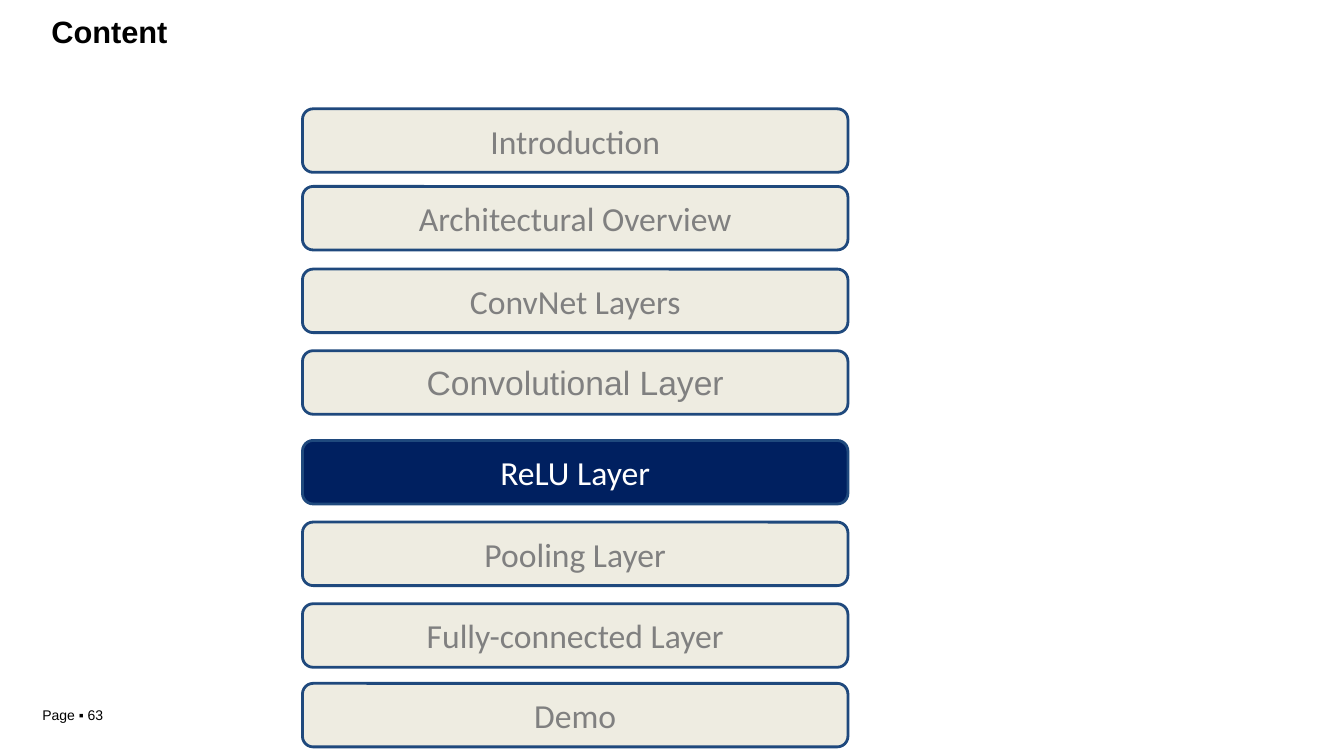
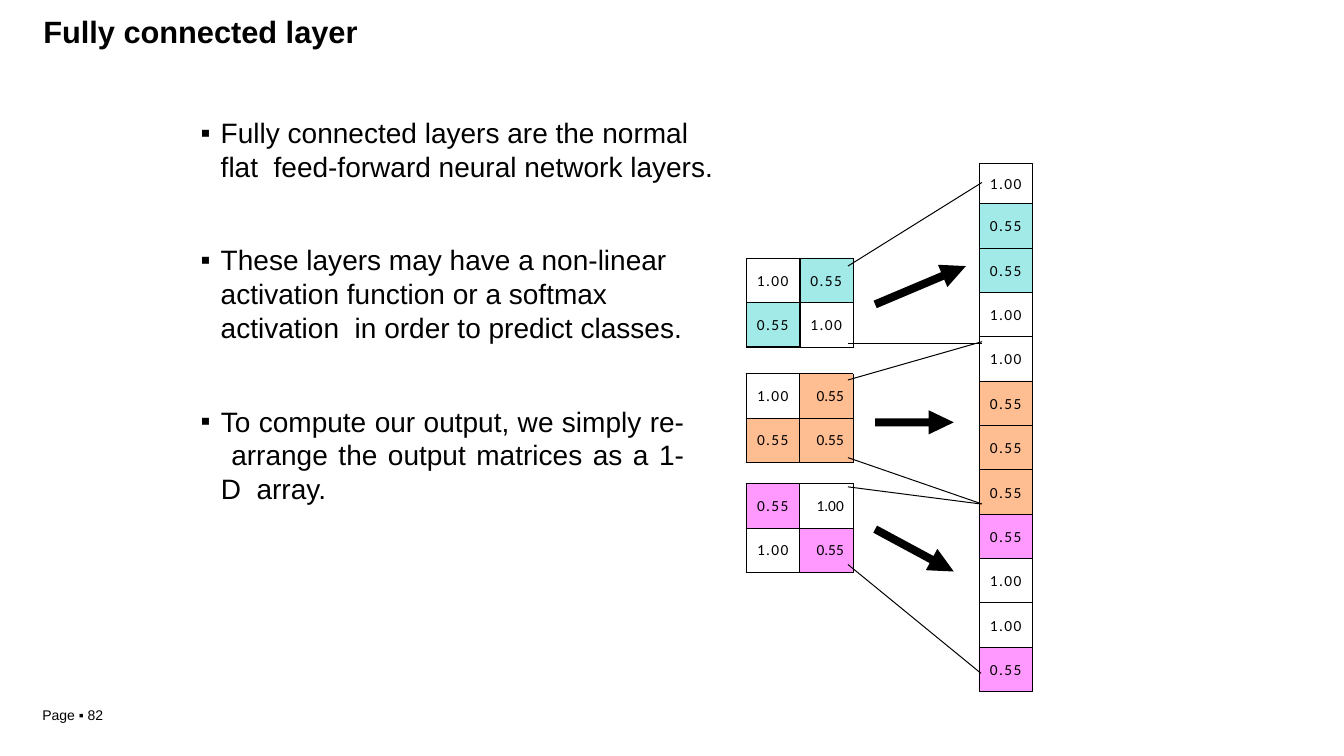
"""Build two lecture slides: the agenda and the fully connected layer."""
from dataclasses import dataclass
from math import hypot

from lxml.etree import SubElement
from pptx import Presentation
from pptx.dml.color import RGBColor
from pptx.enum.shapes import MSO_CONNECTOR as Connector, MSO_SHAPE as Preset
from pptx.enum.text import MSO_ANCHOR as Anchor, PP_ALIGN as Align
from pptx.oxml import parse_xml
from pptx.oxml.ns import nsdecls, qn
from pptx.shapes.base import BaseShape
from pptx.slide import Slide
from pptx.text.text import TextFrame, _Paragraph as Paragraph
from pptx.util import Pt

PX = 9144
SLIDE_WIDTH, SLIDE_HEIGHT = 1333, 750

COLORS = {
    "ink": "000000", "white": "FFFFFF", "muted": "808080",
    "cream": "EEECE1", "navy": "002060", "edge": "1F497D",
    "teal": "A1EAE8", "peach": "FFBE92", "pink": "FF99FF",
}
TITLE = {"name": "Arial", "size": Pt(22), "bold": True}
FOOTER = {"name": "Arial", "size": Pt(10)}
BODY = {"name": "Arial", "size": Pt(20)}
TOPIC = {"name": "Calibri", "size": Pt(24)}
VALUE = {"name": "Calibri", "size": Pt(11)}
NO_INSETS = {"margin_left": 0, "margin_top": 0, "margin_right": 0, "margin_bottom": 0}

CELL_WIDTH, CELL_HEIGHT = 53, 44
MATRIX_LEFT, VECTOR_LEFT, VECTOR_TOP = 740, 971, 162
FIRST_CELL_HEIGHT = 40


@dataclass(frozen=True)
class Box:
    left: int
    top: int
    width: int
    height: int

    def emu(self) -> tuple[int, ...]:
        return tuple(side * PX for side in (self.left, self.top, self.width, self.height))


@dataclass(frozen=True)
class Topic:
    label: str
    top: int
    font: str = "Calibri"
    current: bool = False


@dataclass(frozen=True)
class Bullet:
    text: str
    box: Box
    align: Align = Align.LEFT


@dataclass(frozen=True)
class Value:
    text: str
    color: str | None = None


@dataclass(frozen=True)
class Matrix:
    top: int
    values: tuple[Value, ...]


@dataclass(frozen=True)
class Segment:
    start: tuple[int, int]
    end: tuple[int, int]


ONE = Value("1.00")
TEAL, PEACH, PINK = (Value("0.55", color) for color in ("teal", "peach", "pink"))

TOPICS = (
    Topic("Introduction", 108),
    Topic("Architectural Overview", 185),
    Topic("ConvNet Layers", 267),
    Topic("Convolutional Layer", 348, font="Arial"),
    Topic("ReLU Layer", 437, current=True),
    Topic("Pooling Layer", 518),
    Topic("Fully-connected Layer", 599),
    Topic("Demo", 678),
)
BULLETS = (
    Bullet("Fully connected layers are the normal flat  feed-forward neural network layers.",
           Box(198, 114, 520, 70)),
    Bullet("These layers may have a non-linear  activation function or a softmax "
           "activation  in order to predict classes.", Box(198, 240, 520, 103)),
    Bullet("To compute our output, we simply re-  arrange the output matrices as a "
           "1-D  array.", Box(198, 400, 481, 103), Align.JUSTIFY),
)
TEAL_MATRIX = Matrix(256, (ONE, TEAL, TEAL, ONE))
TABLE_MATRICES = (
    Matrix(371, (ONE, PEACH, PEACH, PEACH)),
    Matrix(480, (PINK, ONE, ONE, PINK)),
)
FAN_LINES = (
    Segment((841, 264), (974, 181)), Segment((841, 341), (974, 341)),
    Segment((841, 377), (974, 339)), Segment((841, 454), (974, 500)),
    Segment((841, 483), (973, 500)), Segment((841, 560), (973, 668)),
)
ARROWS = (
    Segment((868, 302), (958, 264)),
    Segment((868, 419), (946, 419)),
    Segment((868, 525), (946, 567)),
)


def rgb(color: str) -> RGBColor:
    return RGBColor.from_string(COLORS[color])


def apply(target: object, values: dict) -> None:
    for key, value in values.items():
        setattr(target, key, value)


def write(paragraph: Paragraph, text: str, style: dict, color: str = "ink",
          tracking: int = 0) -> None:
    run = paragraph.add_run()
    run.text = text
    apply(run.font, style)
    run.font.color.rgb = rgb(color)
    if tracking:
        run._r.get_or_add_rPr().set("spc", str(tracking))


def paint(shape: BaseShape, fill: str | None, line: str | None, weight: float = 0.5) -> None:
    shape.shadow.inherit = False
    if fill:
        shape.fill.solid()
        shape.fill.fore_color.rgb = rgb(fill)
    else:
        shape.fill.background()
    if line:
        shape.line.color.rgb = rgb(line)
        shape.line.width = Pt(weight)
    else:
        shape.line.fill.background()


def add_text(slide: Slide, box: Box) -> TextFrame:
    frame = slide.shapes.add_textbox(*box.emu()).text_frame
    apply(frame, NO_INSETS | {"word_wrap": True, "margin_top": PX})
    return frame


def add_slide(deck: Presentation, title: str, title_box: Box, page: int) -> Slide:
    slide = deck.slides.add_slide(deck.slide_layouts[6])
    write(add_text(slide, title_box).paragraphs[0], title, TITLE)
    write(add_text(slide, Box(42, 700, 67, 18)).paragraphs[0], f"Page ▪ {page}", FOOTER)
    return slide


def add_topic(slide: Slide, topic: Topic) -> None:
    button = slide.shapes.add_shape(Preset.ROUNDED_RECTANGLE, *Box(300, topic.top, 541, 63).emu())
    paint(button, "navy" if topic.current else "cream", "edge", 2)
    button.text_frame.vertical_anchor = Anchor.MIDDLE
    paragraph = button.text_frame.paragraphs[0]
    paragraph.alignment = Align.CENTER
    write(paragraph, topic.label, TOPIC | {"name": topic.font},
          "white" if topic.current else "muted")


def add_bullet(slide: Slide, bullet: Bullet) -> None:
    paragraph = add_text(slide, bullet.box).paragraphs[0]
    paragraph.alignment = bullet.align
    properties = paragraph._p.get_or_add_pPr()
    for key, length in {"marL": 21, "indent": -20}.items():
        properties.set(key, str(length * PX))
    SubElement(properties, qn("a:buFont")).set("typeface", "Arial")
    SubElement(properties, qn("a:buChar")).set("char", "▪")
    write(paragraph, bullet.text, BODY)


def add_value(slide: Slide, value: Value, box: Box, outline: str | None = "ink") -> None:
    cell = slide.shapes.add_shape(Preset.RECTANGLE, *box.emu())
    paint(cell, value.color, outline)
    apply(cell.text_frame, NO_INSETS | {"vertical_anchor": Anchor.MIDDLE, "word_wrap": True})
    paragraph = cell.text_frame.paragraphs[0]
    paragraph.alignment = Align.CENTER
    write(paragraph, value.text, VALUE, tracking=100)


def add_outline(slide: Slide, points: list[tuple[int, int]]) -> None:
    builder = slide.shapes.build_freeform(*points[0])
    builder.add_line_segments(points[1:], close=True)
    paint(builder.convert_to_shape(), "ink", None)


def add_rule(slide: Slide, box: Box) -> None:
    left, top, width, height = box.emu()
    add_outline(slide, [(left, top), (left + width, top),
                        (left + width, top + height), (left, top + height)])


def add_ruled_matrix(slide: Slide, matrix: Matrix) -> None:
    last = len(matrix.values) - 1
    for index, value in enumerate(matrix.values):
        row, column = divmod(index, 2)
        box = Box(MATRIX_LEFT + column * CELL_WIDTH, matrix.top + row * CELL_HEIGHT,
                  CELL_WIDTH, CELL_HEIGHT)
        add_value(slide, value, box, None if index == last else "ink")
    for step in range(3):
        add_rule(slide, Box(MATRIX_LEFT + step * CELL_WIDTH, matrix.top, 1, 2 * CELL_HEIGHT + 1))
        add_rule(slide, Box(MATRIX_LEFT, matrix.top + step * CELL_HEIGHT, 2 * CELL_WIDTH, 1))


def add_matrix_table(slide: Slide, matrix: Matrix) -> None:
    box = Box(MATRIX_LEFT, matrix.top, 2 * CELL_WIDTH, 2 * CELL_HEIGHT)
    table = slide.shapes.add_table(2, 2, *box.emu()).table
    apply(table, {"first_row": False, "horz_banding": False})
    for index, value in enumerate(matrix.values):
        row, column = divmod(index, 2)
        cell = table.cell(row, column)
        apply(cell, NO_INSETS | {"vertical_anchor": Anchor.MIDDLE,
                                 "margin_right": 9 * PX * column})
        if value.color:
            cell.fill.solid()
            cell.fill.fore_color.rgb = rgb(value.color)
        else:
            cell.fill.background()
        for position, side in enumerate(("lnL", "lnR", "lnT", "lnB")):
            cell._tc.get_or_add_tcPr().insert(position, parse_xml(
                f'<a:{side} {nsdecls("a")} w="{Pt(0.75)}"><a:solidFill>'
                f'<a:srgbClr val="{COLORS["ink"]}"/></a:solidFill></a:{side}>'))
        paragraph = cell.text_frame.paragraphs[0]
        paragraph.alignment = Align.RIGHT if column else Align.CENTER
        write(paragraph, value.text, VALUE, tracking=0 if column else 100)


def add_vector(slide: Slide, values: list[Value]) -> None:
    top, height = VECTOR_TOP, FIRST_CELL_HEIGHT
    for value in values:
        add_value(slide, value, Box(VECTOR_LEFT, top, CELL_WIDTH, height))
        top, height = top + height, CELL_HEIGHT


def add_fan_line(slide: Slide, segment: Segment) -> None:
    ends = [length * PX for length in segment.start + segment.end]
    line = slide.shapes.add_connector(Connector.STRAIGHT, *ends)
    line.line.color.rgb = rgb("ink")
    line.line.width = Pt(0.72)
    SubElement(line._element.spPr, qn("a:effectLst"))


def add_arrow(slide: Slide, segment: Segment) -> None:
    (left, top), (right, bottom) = segment.start, segment.end
    length = hypot(right - left, bottom - top)
    across, down = (right - left) / length, (bottom - top) / length
    neck = length - 25
    profile = [(0, -4), (neck, -4), (neck, -12), (length, 0), (neck, 12), (neck, 4), (0, 4)]
    add_outline(slide, [(round((left + along * across - off * down) * PX),
                         round((top + along * down + off * across) * PX))
                        for along, off in profile])


def build_agenda(deck: Presentation) -> None:
    slide = add_slide(deck, "Content", Box(51, 12, 133, 38), 63)
    for topic in TOPICS:
        add_topic(slide, topic)


def build_fully_connected(deck: Presentation) -> None:
    slide = add_slide(deck, "Fully connected layer", Box(43, 12, 320, 39), 82)
    for bullet in BULLETS:
        add_bullet(slide, bullet)
    add_ruled_matrix(slide, TEAL_MATRIX)
    for matrix in TABLE_MATRICES:
        add_matrix_table(slide, matrix)
    add_vector(slide, [value for matrix in (TEAL_MATRIX, *TABLE_MATRICES)
                       for value in matrix.values])
    for segment in FAN_LINES:
        add_fan_line(slide, segment)
    for segment in ARROWS:
        add_arrow(slide, segment)


def main() -> None:
    deck = Presentation()
    deck.slide_width, deck.slide_height = SLIDE_WIDTH * PX, SLIDE_HEIGHT * PX
    build_agenda(deck)
    build_fully_connected(deck)
    deck.save("out.pptx")


if __name__ == "__main__":
    main()
